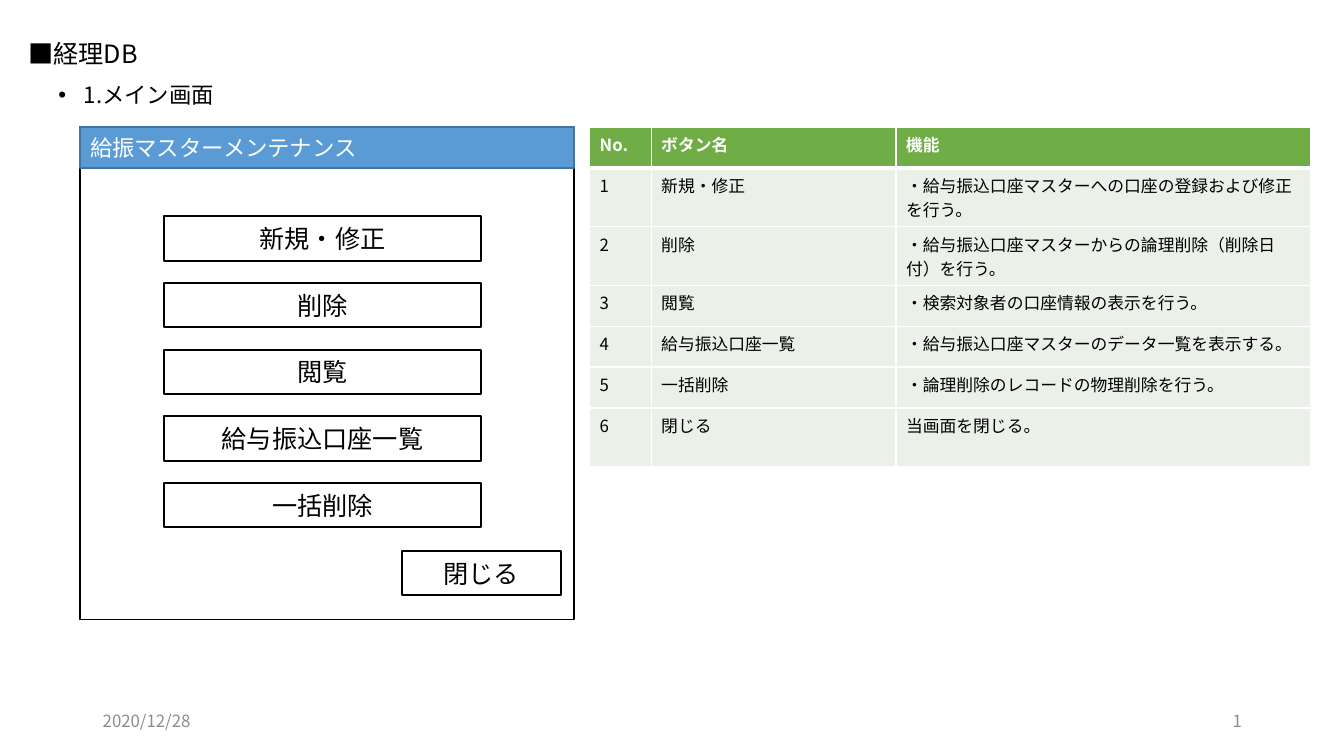
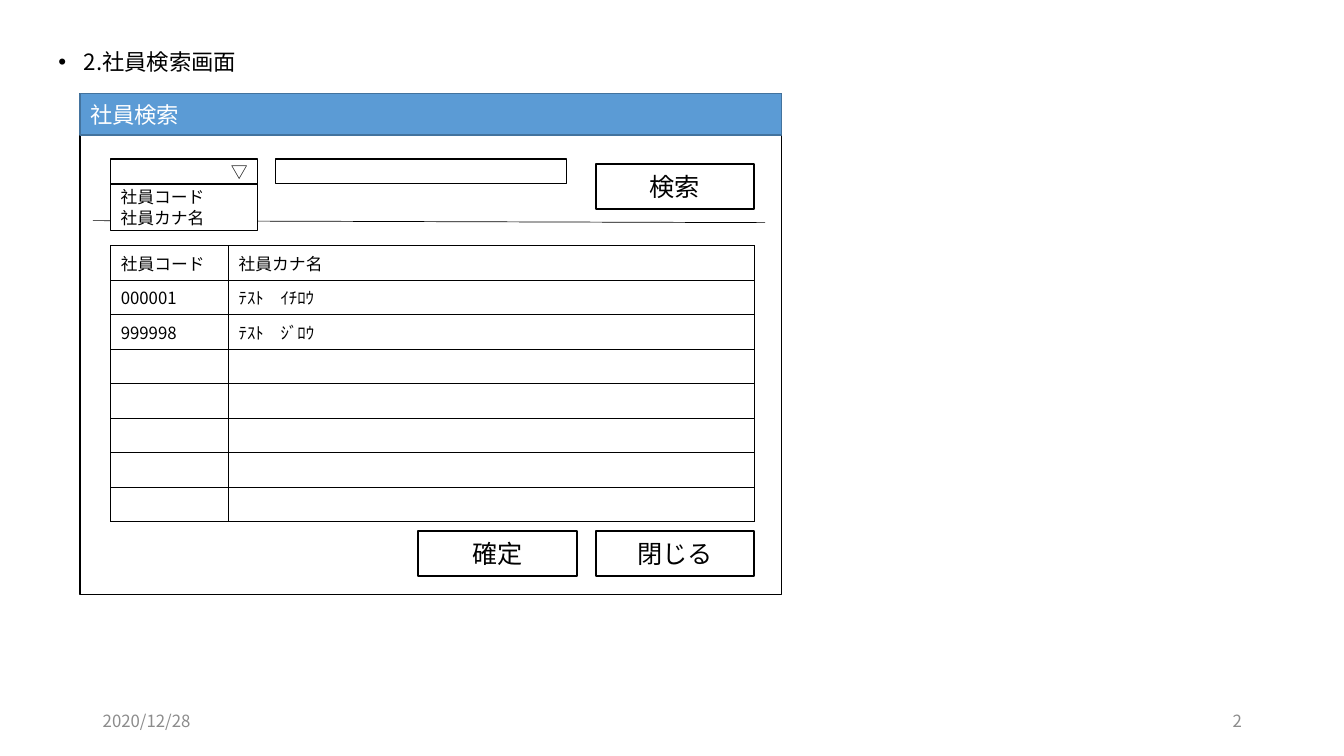
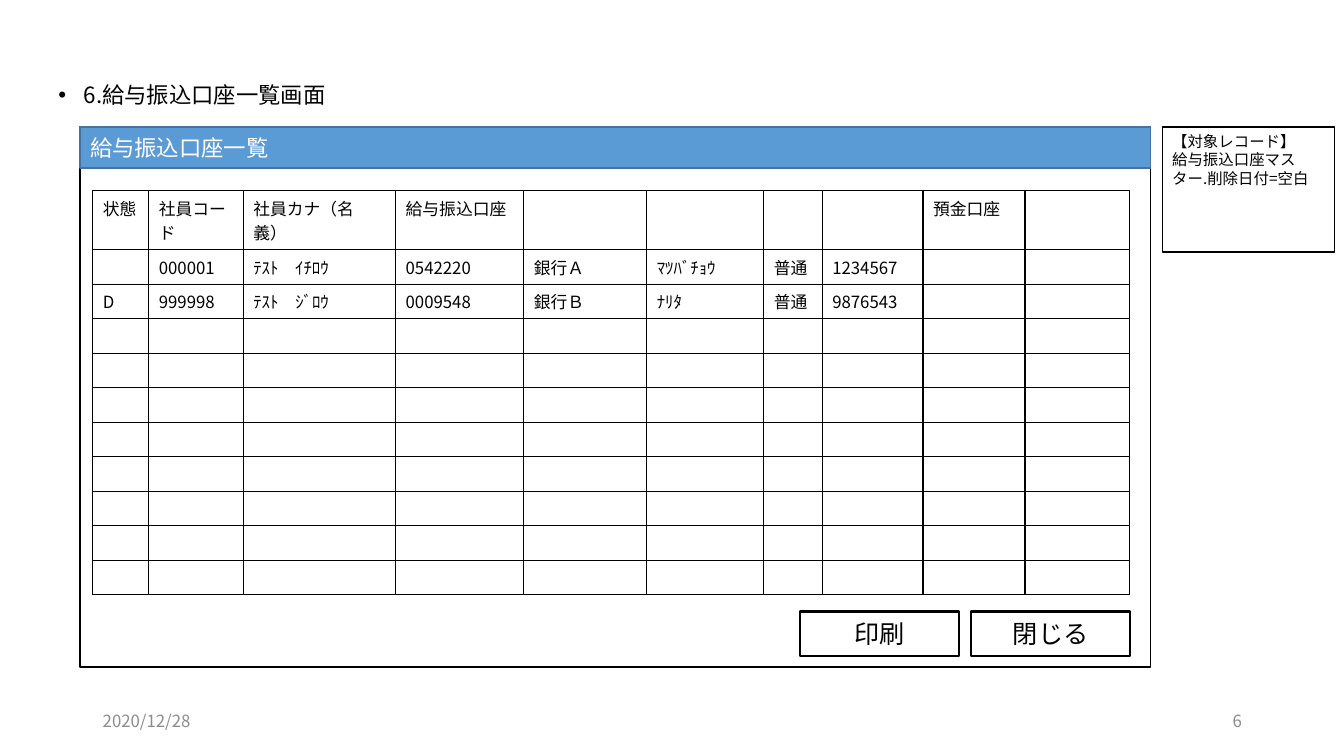
from dataclasses import dataclass

from lxml import etree
from pptx import Presentation
from pptx.dml.color import RGBColor
from pptx.enum.shapes import MSO_CONNECTOR, MSO_SHAPE
from pptx.enum.text import MSO_ANCHOR, PP_ALIGN
from pptx.oxml.ns import qn
from pptx.util import Cm, Pt

RECT = MSO_SHAPE.RECTANGLE
STRAIGHT = MSO_CONNECTOR.STRAIGHT
TOP, MIDDLE = MSO_ANCHOR.TOP, MSO_ANCHOR.MIDDLE
LEFT, CENTER, RIGHT = PP_ALIGN.LEFT, PP_ALIGN.CENTER, PP_ALIGN.RIGHT


@dataclass(frozen=True)
class Theme:
    font: str = "Noto Sans CJK JP"
    black: str = "000000"
    white: str = "FFFFFF"
    grey: str = "8C8C8C"
    bar: str = "5B9BD5"
    bar_line: str = "43739E"
    header: str = "70AD47"
    body: str = "EBF1E9"
    title: int = 18
    heading: int = 16
    small: int = 12
    note: int = 11


class Deck:
    def __init__(self, theme):
        self.t = theme
        self.prs = Presentation()
        self.prs.slide_width = Cm(33.87)
        self.prs.slide_height = Cm(19.05)
        self.s = None

    def slide(self, number):
        self.s = self.prs.slides.add_slide(self.prs.slide_layouts[6])
        for x, text, align in ((2.34, "2020/12/28", LEFT), (23.93, number, RIGHT)):
            self.text(x, 17.65, 7.62, 1.02, text, self.t.small, self.t.grey, align)

    def run(self, p, text, size, color, bold=False):
        r = p.add_run()
        r.text = text
        r.font.size = Pt(size)
        r.font.bold = bold
        r.font.name = self.t.font
        r.font.color.rgb = RGBColor.from_string(color)
        etree.SubElement(r._r.get_or_add_rPr(), qn("a:ea"), typeface=self.t.font)

    def fill_text(self, tf, text, size, color, align, anchor):
        tf.word_wrap = True
        tf.vertical_anchor = anchor
        for i, line in enumerate(text.split("\n")):
            p = tf.add_paragraph() if i else tf.paragraphs[0]
            p.alignment = align
            self.run(p, line, size, color)

    def text(self, x, y, w, h, text, size, color, align=LEFT, anchor=MIDDLE):
        sp = self.s.shapes.add_textbox(Cm(x), Cm(y), Cm(w), Cm(h))
        self.fill_text(sp.text_frame, text, size, color, align, anchor)
        return sp.text_frame.paragraphs[0]

    def title(self, text):
        p = self.text(0.46, 1.02, 32.82, 0.76, text, self.t.title, self.t.black)
        p.line_spacing = 0.9

    def heading(self, y, text):
        p = self.text(1.22, y, 31.39, 1.2, text, self.t.heading, self.t.black,
                      anchor=TOP)
        p.line_spacing = 0.9
        p.space_before = Pt(10)
        pPr = p._p.get_or_add_pPr()
        pPr.set("marL", str(Cm(0.64)))
        pPr.set("indent", str(-Cm(0.64)))
        etree.SubElement(pPr, qn("a:buFont"), typeface="Arial")
        etree.SubElement(pPr, qn("a:buChar"), char="•")

    def box(self, x, y, w, h, text="", size=Theme.small, color=Theme.black,
            fill=None, line=Theme.black, weight=1, align=LEFT, anchor=MIDDLE):
        sp = self.s.shapes.add_shape(RECT, Cm(x), Cm(y), Cm(w), Cm(h))
        sp.shadow.inherit = False
        if fill:
            sp.fill.solid()
            sp.fill.fore_color.rgb = RGBColor.from_string(fill)
        else:
            sp.fill.background()
        sp.line.color.rgb = RGBColor.from_string(line)
        sp.line.width = Pt(weight)
        if text:
            self.fill_text(sp.text_frame, text, size, color, align, anchor)

    def window(self, y, w, h, caption):
        self.box(2.02, y, w, h)
        self.box(2.02, y, w, 1.04, caption, self.t.heading, self.t.white,
                 self.t.bar, self.t.bar_line)

    def button(self, x, y, text, w=4):
        self.box(x, y, w, 1.12, text, self.t.title, weight=1.5, align=CENTER)

    def line(self, x1, y1, x2, y2):
        c = self.s.shapes.add_connector(STRAIGHT, Cm(x1), Cm(y1), Cm(x2), Cm(y2))
        c.line.color.rgb = RGBColor.from_string(self.t.black)
        c.line.width = Pt(0.5)
        etree.SubElement(c._element.spPr, qn("a:effectLst"))

    def border(self, cell, color, bottom):
        tcPr = cell._tc.get_or_add_tcPr()
        for side, width in (("L", 1), ("R", 1), ("T", 1), ("B", bottom)):
            ln = etree.SubElement(tcPr, qn("a:ln" + side), w=str(Pt(width)))
            solid = etree.SubElement(ln, qn("a:solidFill"))
            etree.SubElement(solid, qn("a:srgbClr"), val=color)

    def table(self, x, y, cols, heights, rows, colored=False):
        t = self.t
        tbl = self.s.shapes.add_table(len(heights), len(cols), Cm(x), Cm(y),
                                      Cm(sum(cols)), Cm(sum(heights))).table
        tbl.first_row = colored
        tbl.horz_banding = False
        for col, w in zip(tbl.columns, cols):
            col.width = Cm(w)
        for i, h in enumerate(heights):
            tbl.rows[i].height = Cm(h)
            values = rows[i] if i < len(rows) else ()
            head = colored and i == 0
            for j in range(len(cols)):
                cell = tbl.cell(i, j)
                self.border(cell, t.white if colored else t.black, 3 if head else 1)
                if colored:
                    cell.fill.solid()
                    cell.fill.fore_color.rgb = RGBColor.from_string(
                        t.header if head else t.body)
                else:
                    cell.fill.background()
                p = cell.text_frame.paragraphs[0]
                if j < len(values) and values[j]:
                    self.run(p, values[j], t.small, t.white if head else t.black, head)
                else:
                    etree.SubElement(p._p, qn("a:endParaRPr"), sz=str(t.small * 100))


def main_screen(d):
    d.slide("1")
    d.title("■経理DB")
    d.heading(2, "1.メイン画面")
    d.window(3.2, 12.45, 12.42, "給振マスターメンテナンス")
    names = ("新規・修正", "削除", "閲覧", "給与振込口座一覧", "一括削除")
    for i, name in enumerate(names):
        d.button(4.13, 5.45 + 1.68 * i, name, 8)
    d.button(10.13, 13.88, "閉じる")
    notes = (
        "・給与振込口座マスターへの口座の登録および修正を行う。",
        "・給与振込口座マスターからの論理削除（削除日付）を行う。",
        "・検索対象者の口座情報の表示を行う。",
        "・給与振込口座マスターのデータ一覧を表示する。",
        "・論理削除のレコードの物理削除を行う。",
        "当画面を閉じる。",
    )
    rows = [("No.", "ボタン名", "機能")]
    for i, (name, note) in enumerate(zip(names + ("閉じる",), notes), 1):
        rows.append((str(i), name, note))
    heights = (1.03, 1.48, 1.48, 1.03, 1.03, 1.03, 1.48)
    d.table(14.86, 3.2, (1.55, 6.17, 10.44), heights, rows, True)


def search_screen(d):
    d.slide("2")
    d.heading(1.16, "2.社員検索画面")
    d.window(2.36, 17.68, 12.62, "社員検索")
    d.box(2.79, 4.01, 3.7, 0.62, "▽", align=RIGHT)
    d.box(6.94, 4.01, 7.34, 0.62)
    d.line(2.34, 5.56, 19.28, 5.61)
    d.box(2.79, 4.64, 3.7, 1.17, "社員コード\n社員カナ名", fill=d.t.white)
    d.button(15.01, 4.14, "検索")
    d.button(10.54, 13.39, "確定")
    d.button(15.01, 13.39, "閉じる")
    d.table(2.79, 6.19, (2.97, 13.26), [0.87] * 8, (
        ("社員コード", "社員カナ名"),
        ("000001", "ﾃｽﾄ　ｲﾁﾛｳ"),
        ("999998", "ﾃｽﾄ　ｼﾞﾛｳ"),
    ))


def list_screen(d):
    d.slide("6")
    d.heading(2, "6.給与振込口座一覧画面")
    d.window(3.2, 26.97, 13.61, "給与振込口座一覧")
    cols = (1.41, 2.38, 3.84, 3.23, 3.1, 2.95, 1.47, 2.54, 2.57, 2.64)
    d.table(2.34, 4.81, cols, [1.48] + [0.87] * 10, (
        ("状態", "社員コード", "社員カナ（名義）", "給与振込口座",
         "", "", "", "", "預金口座"),
        ("", "000001", "ﾃｽﾄ　ｲﾁﾛｳ", "0542220", "銀行Ａ", "ﾏﾂﾊﾞﾁｮｳ",
         "普通", "1234567"),
        ("D", "999998", "ﾃｽﾄ　ｼﾞﾛｳ", "0009548", "銀行Ｂ", "ﾅﾘﾀ",
         "普通", "9876543"),
    ))
    d.button(20.17, 15.41, "印刷")
    d.button(24.48, 15.41, "閉じる")
    d.box(29.29, 3.2, 4.34, 3.15,
          "【対象レコード】\n給与振込口座マスター.削除日付=空白", d.t.note, anchor=TOP)


def main():
    d = Deck(Theme())
    main_screen(d)
    search_screen(d)
    list_screen(d)
    d.prs.save("out.pptx")


if __name__ == "__main__":
    main()
